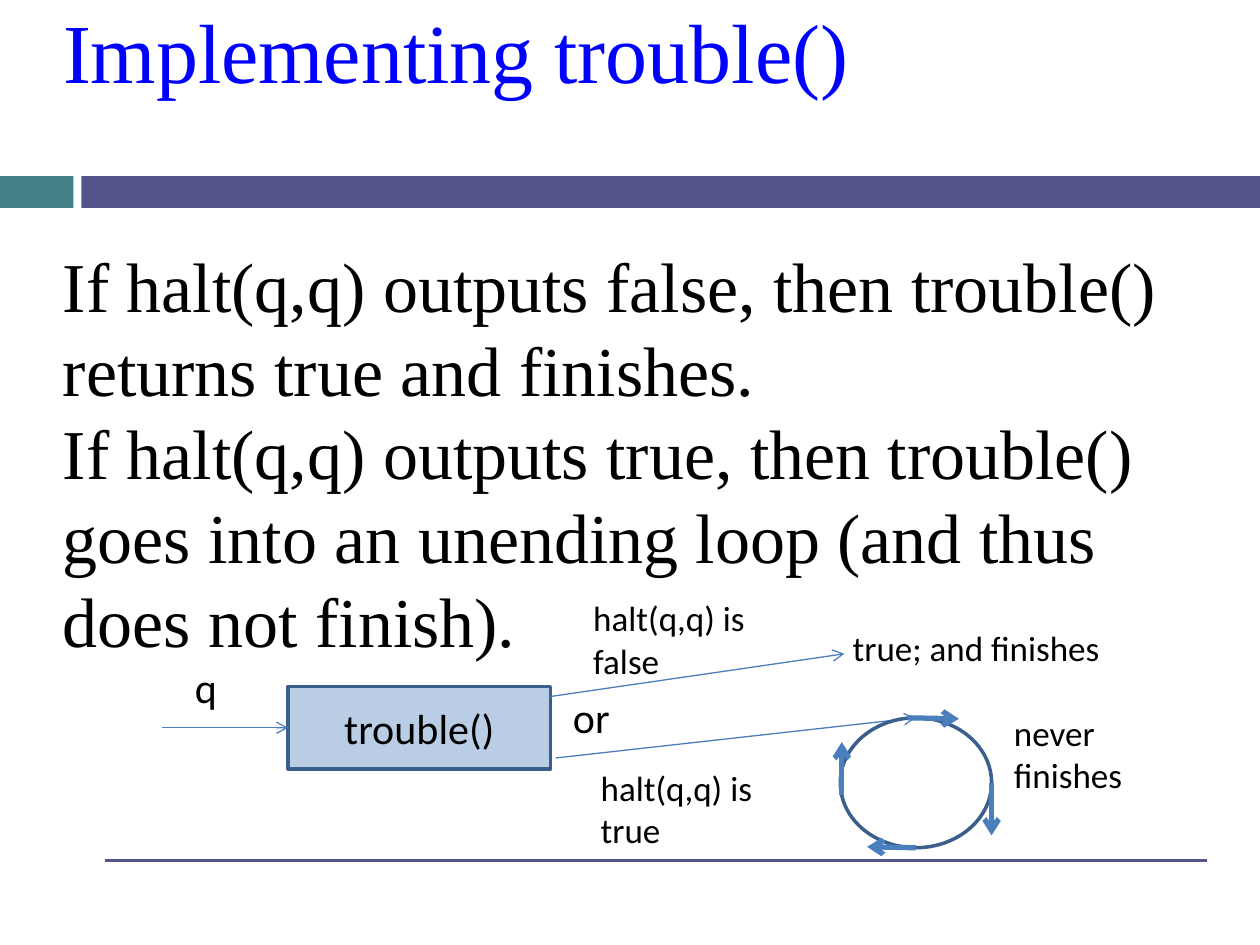
from lxml import etree
from pptx import Presentation
from pptx import util as u
from pptx.dml.color import RGBColor
from pptx.enum import shapes, text
from pptx.oxml.ns import qn

HUES = {
    "teal": "438086", "plum": "53548A", "title": "0000FF", "ink": "000000",
    "box": "B9CDE5", "edge": "3A5F8C", "arrow": "4B7EBC",
}
SERIF, SANS = "Times New Roman", "Calibri"


def hue(name):
    return RGBColor.from_string(HUES[name])


class Sketch:
    """Holds the style and the slide being filled."""

    def __init__(self, slide):
        self.slide = slide
        self.items = slide.shapes

    def style(self, frame, size, font=SANS, color="ink", align=text.PP_ALIGN.LEFT, lead=None):
        for para in frame.paragraphs:
            para.alignment = align
            if lead:
                para.line_spacing = u.Pt(lead)
            for run in para.runs:
                run.font.size = u.Pt(size)
                run.font.name = font
                run.font.color.rgb = hue(color)

    def flush(self, frame):
        frame.margin_left = frame.margin_right = 0
        frame.margin_top = frame.margin_bottom = 0
        frame.vertical_anchor = text.MSO_ANCHOR.TOP
        frame.word_wrap = True

    def title(self, words, x, y, w, h):
        head = self.items.title
        head.left, head.top, head.width, head.height = map(u.Cm, (x, y, w, h))
        frame = head.text_frame
        frame.text = words
        self.flush(frame)
        self.style(frame, 48, SERIF, "title", lead=57.6)

    def body(self, words, x, y, w, h):
        frame = self.items.add_textbox(*map(u.Cm, (x, y, w, h))).text_frame
        frame.text = words
        self.flush(frame)
        self.style(frame, 40, SERIF, lead=48)

    def label(self, words, x, y, w, h, size=20):
        frame = self.items.add_textbox(*map(u.Cm, (x, y, w, h))).text_frame
        frame.word_wrap = False
        frame.text = words
        self.style(frame, size)

    def shape(self, kind, x, y, w, h, fill=None, edge=None, words=""):
        item = self.items.add_shape(kind, *map(u.Cm, (x, y, w, h)))
        item.shadow.inherit = False
        if fill:
            item.fill.solid()
            item.fill.fore_color.rgb = hue(fill)
        else:
            item.fill.background()
        if edge:
            item.line.color.rgb = hue(edge)
            item.line.width = u.Pt(2)
        else:
            item.line.fill.background()
        if words:
            item.text_frame.text = words
            item.text_frame.vertical_anchor = text.MSO_ANCHOR.MIDDLE
            self.style(item.text_frame, 24, align=text.PP_ALIGN.CENTER)
        return item

    def line(self, x1, y1, x2, y2, color="arrow", width=0.75, head=True):
        item = self.items.add_connector(
            shapes.MSO_CONNECTOR.STRAIGHT, *map(u.Cm, (x1, y1, x2, y2)))
        item.line.color.rgb = hue(color)
        item.line.width = u.Pt(width)
        props = item._element.spPr
        if head:
            etree.SubElement(props.find(qn("a:ln")), qn("a:tailEnd"), type="arrow")
        etree.SubElement(props, qn("a:effectLst"))
        return item


def main():
    deck = Presentation()
    deck.slide_width, deck.slide_height = u.Cm(25.4), u.Cm(19.05)
    art = Sketch(deck.slides.add_slide(deck.slide_layouts[5]))
    rect, oval = shapes.MSO_SHAPE.RECTANGLE, shapes.MSO_SHAPE.OVAL

    # Bands and bottom rule
    art.shape(rect, 0, 3.55, 1.48, 0.64, "teal")
    art.shape(rect, 1.64, 3.55, 23.76, 0.64, "plum")
    art.line(2.11, 17.35, 24.34, 17.35, "plum", 1.5, head=False)

    # Title and statement
    art.title("Implementing trouble()", 1.27, 0, 22.86, 3.53)
    art.body("If halt(q,q) outputs false, then trouble() returns true and finishes.\n"
             "If halt(q,q) outputs true, then trouble() goes into an unending loop "
             "(and thus does not finish).", 1.27, 4.88, 22.86, 12.14)

    # Program box with its input
    box = art.shape(rect, 5.81, 13.84, 5.29, 1.66, "box", "edge", "trouble()")
    feed = art.line(3.27, 14.67, 5.81, 14.67)
    feed.end_connect(box, 1)
    art.label("q", 3.68, 13.21, 0.99, 1.27, 24)

    # Two outcomes
    art.line(11.1, 14.04, 17.02, 13.18)
    art.label("true; and finishes", 16.94, 12.5, 5.97, 1.12)
    art.label("or", 11.3, 13.82, 1.32, 1.27, 24)
    art.line(11.2, 15.28, 18.46, 14.47)
    art.label("never\nfinishes", 20.19, 14.22, 2.95, 1.96)
    art.label("halt(q,q) is\nfalse", 11.71, 11.91, 3.86, 1.96)
    art.label("halt(q,q) is\ntrue", 11.86, 15.32, 3.86, 1.96)

    # Unending loop
    art.shape(oval, 16.94, 14.47, 3.05, 2.62, edge="edge")
    for ends in ((18.29, 14.47, 19.33, 14.49), (18.46, 17.09, 17.48, 17.07),
                 (19.99, 15.78, 19.99, 16.84), (16.97, 16.03, 16.97, 14.96)):
        art.line(*ends, width=3)

    deck.save("out.pptx")


if __name__ == "__main__":
    main()
